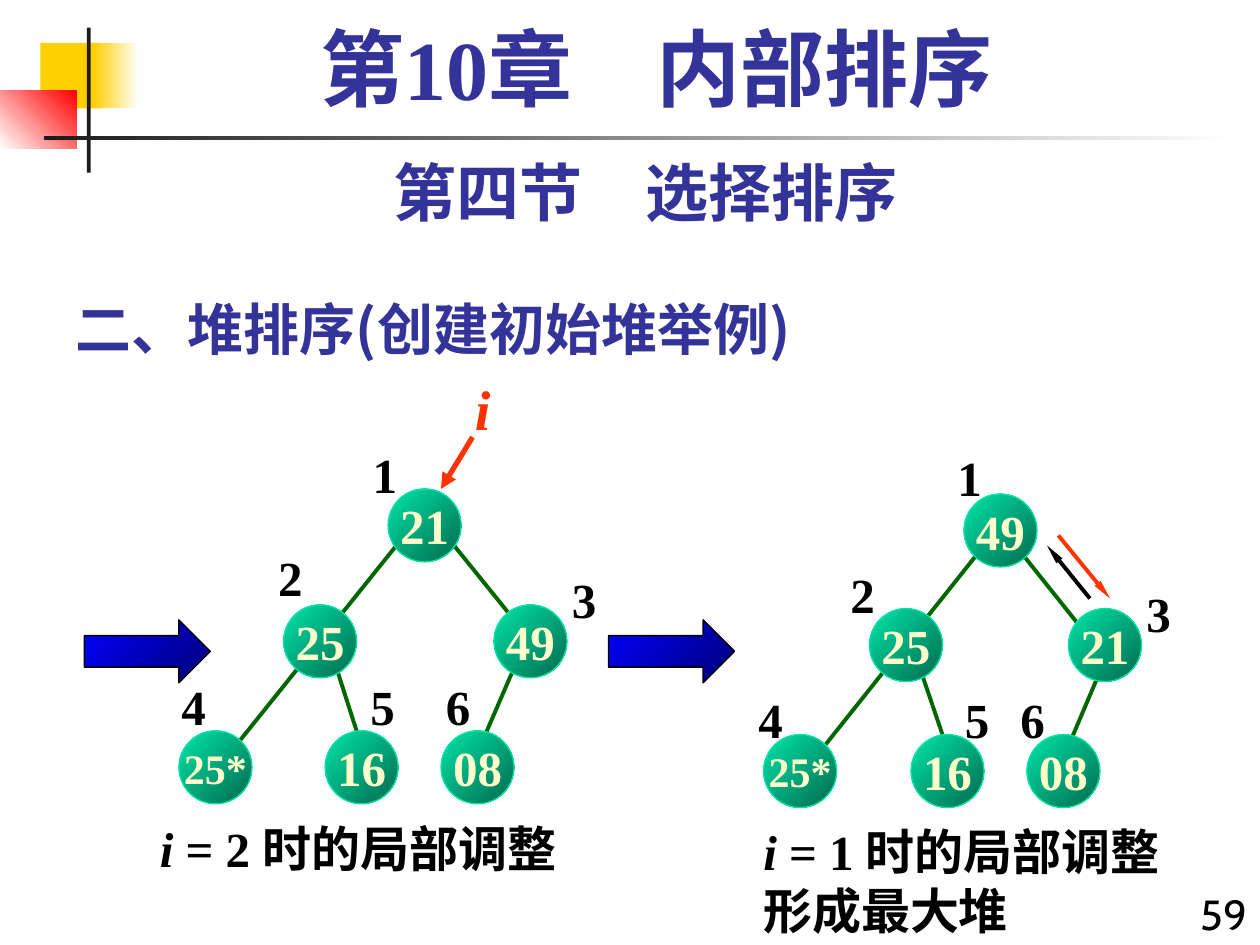
from dataclasses import dataclass

import pptx
import pptx.dml.color
import pptx.enum.shapes
import pptx.enum.text
import pptx.oxml
import pptx.oxml.ns
import pptx.util
from pptx.util import Inches

SHAPE = pptx.enum.shapes.MSO_SHAPE
ALIGN = pptx.enum.text.PP_ALIGN
ANCHOR = pptx.enum.text.MSO_ANCHOR
AUTO = pptx.enum.text.MSO_AUTO_SIZE


@dataclass(frozen=True)
class Theme:
    serif: str = "Times New Roman"
    sans: str = "Cabin"
    chinese: str = "Noto Sans CJK SC"
    heading: str = "333399"
    ink: str = "000000"
    accent: str = "FF3300"
    edge: str = "006600"
    node_light: str = "00E4A8"
    node_dark: str = "006A4E"
    node_text: str = "FFFFCC"
    arrow_light: str = "0000FF"
    arrow_dark: str = "000076"
    yellow: str = "FFCF01"
    red: str = "FF0000"
    rule: str = "1C1C1C"
    white: str = "FFFFFF"
    chapter_size: int = 48
    section_size: int = 36
    topic_size: int = 32
    body_size: int = 28
    small_size: int = 24


THEME = Theme()
NODE_SIZE = 0.58

# Nodes: value, left, top. Labels: left, top, numbered from 1. Edges: x1, y1, x2, y2.
TREE_BEFORE = {
    "edges": [(4.08, 5.3, 3.83, 5.88), (2.67, 5.3, 2.83, 5.8),
              (3.58, 4.3, 4.25, 5.13), (3.17, 4.3, 1.83, 5.97)],
    "nodes": [("21", 3.08, 3.88), ("25", 2.25, 4.8), ("49", 3.92, 4.8),
              ("25*", 1.42, 5.8), ("16", 2.58, 5.8), ("08", 3.5, 5.8)],
    "labels": [(2.86, 3.48), (2.11, 4.3), (4.44, 4.47),
               (1.34, 5.32), (2.84, 5.32), (3.44, 5.32)],
}
TREE_AFTER = {
    "edges": [(8.73, 5.33, 8.48, 5.92), (7.31, 5.33, 7.48, 5.83),
              (8.06, 4.33, 8.73, 5.17), (7.81, 4.33, 6.48, 6)],
    "nodes": [("49", 7.65, 3.92), ("25", 6.9, 4.83), ("21", 8.48, 4.83),
              ("25*", 6.06, 5.83), ("16", 7.23, 5.83), ("08", 8.15, 5.83)],
    "labels": [(7.5, 3.5), (6.65, 4.43), (9, 4.58),
               (5.92, 5.42), (7.56, 5.42), (8, 5.42)],
}


def rgb(color):
    return pptx.dml.color.RGBColor.from_string(color)


def style_span(span, size, color, font=THEME.serif, bold=True, italic=False):
    span.font.name = font
    span.font.size = pptx.util.Pt(size)
    span.font.color.rgb = rgb(color)
    span.font.bold = bold
    span.font.italic = italic
    east_asian = pptx.oxml.parse_xml(
        f'<a:ea {pptx.oxml.ns.nsdecls("a")} typeface="{THEME.chinese}"/>')
    span.font._element.find(pptx.oxml.ns.qn("a:latin")).addnext(east_asian)


def add_text(shapes, place, text, size, color, align=ALIGN.LEFT, wrap=False,
             grow=True, **style):
    box = shapes.add_textbox(*map(Inches, place))
    frame = box.text_frame
    frame.word_wrap = wrap
    frame.auto_size = AUTO.SHAPE_TO_FIT_TEXT if grow else AUTO.NONE
    frame.text = text
    for para in frame.paragraphs:
        para.alignment = align
        for span in para.runs:
            style_span(span, size, color, **style)
    return box


def add_filled(shapes, kind, place, colors, angle=0, outline=None):
    """Preset shape with a plain fill or a two-colour gradient (clockwise angle)."""
    shape = shapes.add_shape(kind, *map(Inches, place))
    shape.shadow.inherit = False
    if len(colors) == 1:
        shape.fill.solid()
        shape.fill.fore_color.rgb = rgb(colors[0])
    else:
        shape.fill.gradient()
        shape.fill.gradient_angle = (360 - angle) % 360
        for stop, color, position in zip(shape.fill.gradient_stops, colors, (0, 1)):
            stop.color.rgb = rgb(color)
            stop.position = position
    if outline:
        shape.line.color.rgb = rgb(outline)
        shape.line.width = pptx.util.Pt(0.75)
    else:
        shape.line.fill.background()
    return shape


def add_line(shapes, ends, color, width=2.25, head=None):
    """Straight line; head is the (width, length) of an arrowhead at its end."""
    line = shapes.add_connector(pptx.enum.shapes.MSO_CONNECTOR.STRAIGHT,
                                *map(Inches, ends))
    line.line.color.rgb = rgb(color)
    line.line.width = pptx.util.Pt(width)
    namespace = pptx.oxml.ns.nsdecls("a")
    if head:
        line.line._get_or_add_ln().append(pptx.oxml.parse_xml(
            f'<a:tailEnd {namespace} type="triangle" w="{head[0]}" len="{head[1]}"/>'))
    line._element.spPr.append(pptx.oxml.parse_xml(f"<a:effectLst {namespace}/>"))


def add_node(shapes, value, left, top):
    node = add_filled(shapes, SHAPE.OVAL, (left, top, NODE_SIZE, NODE_SIZE),
                      (THEME.node_light, THEME.node_dark), 45, THEME.node_light)
    frame = node.text_frame
    frame.word_wrap = False
    frame.vertical_anchor = ANCHOR.MIDDLE
    frame.text = value
    para = frame.paragraphs[0]
    para.alignment = ALIGN.CENTER
    size = THEME.body_size if len(value) == 2 else THEME.small_size
    style_span(para.runs[0], size, THEME.node_text)


def add_tree(slide, tree):
    shapes = slide.shapes.add_group_shape().shapes
    for ends in tree["edges"]:
        add_line(shapes, ends, THEME.edge)
    for node in tree["nodes"]:
        add_node(shapes, *node)
    for number, (left, top) in enumerate(tree["labels"], 1):
        add_text(shapes, (left, top, 0.39, 0.57), str(number),
                 THEME.body_size, THEME.ink)
    return shapes


def add_caption(slide, place, text):
    """Caption whose first letter is the italic index variable."""
    box = add_text(slide.shapes, place, "i", THEME.body_size, THEME.ink, italic=True)
    first, *others = text.split("\n")
    frame = box.text_frame
    spans = [frame.paragraphs[0].add_run()]
    spans += [frame.add_paragraph().add_run() for _ in others]
    for span, words in zip(spans, [first, *others]):
        span.text = words
        style_span(span, THEME.body_size, THEME.ink)


def add_decoration(slide):
    for place, colors, angle in [
        ((0.32, 0.34, 0.48, 0.52), (THEME.yellow,), 0),
        ((0.74, 0.34, 0.36, 0.52), (THEME.yellow, THEME.white), 0),
        ((0, 0.72, 0.61, 0.46), (THEME.white, THEME.red), 315),
        ((0.69, 0.22, 0.03, 1.15), (THEME.rule,), 0),
        ((0.35, 1.08, 9.45, 0.03), (THEME.rule, THEME.white), 0),
    ]:
        add_filled(slide.shapes, SHAPE.RECTANGLE, place, colors, angle)


def add_headings(slide):
    title = slide.shapes.title
    title.left, title.top, title.width, title.height = map(
        Inches, (0.5, 2.17, 6.25, 0.75))
    frame = title.text_frame
    frame.text = "二、堆排序(创建初始堆举例)"
    frame.auto_size = AUTO.NONE
    frame.vertical_anchor = ANCHOR.BOTTOM
    frame.paragraphs[0].alignment = ALIGN.LEFT
    style_span(frame.paragraphs[0].runs[0], THEME.topic_size, THEME.heading,
               THEME.chinese)

    add_text(slide.shapes, (9.33, 7, 0.67, 0.59), "59", THEME.small_size, THEME.ink,
             ALIGN.RIGHT, wrap=True, font=THEME.sans, bold=False)
    add_text(slide.shapes, (0.5, 1.17, 9.25, 0.7), "第四节　选择排序",
             THEME.section_size, THEME.heading, ALIGN.CENTER, wrap=True,
             font=THEME.sans)
    chapter = add_text(slide.shapes, (0.67, 0.17, 9.08, 0.83), "第10章　内部排序",
                       THEME.chapter_size, THEME.heading, ALIGN.CENTER, wrap=True,
                       grow=False)
    chapter.text_frame.paragraphs[0].line_spacing = 0.9


def main():
    deck = pptx.Presentation()
    deck.slide_width, deck.slide_height = Inches(10), Inches(7.5)
    slide = deck.slides.add_slide(deck.slide_layouts[5])
    add_decoration(slide)
    add_headings(slide)

    # Heap before the last adjustment, with the pointer to its root
    add_tree(slide, TREE_BEFORE)
    pointer = slide.shapes.add_group_shape().shapes
    add_line(pointer, (3.75, 3.47, 3.5, 3.88), THEME.accent, 3, ("med", "med"))
    add_text(pointer, (3.67, 2.92, 0.32, 0.64), "i", THEME.topic_size, THEME.accent,
             italic=True)

    # Step arrows and captions
    for left in (0.67, 4.83):
        add_filled(slide.shapes, SHAPE.RIGHT_ARROW, (left, 4.92, 1, 0.5),
                   (THEME.arrow_light, THEME.arrow_dark), 45, THEME.ink)
    add_caption(slide, (1.17, 6.45, 3.44, 0.57), " = 2 时的局部调整")
    add_caption(slide, (5.96, 6.47, 3.44, 1.04), " = 1 时的局部调整\n形成最大堆")

    # Finished heap, with the exchange of root and right child
    after = add_tree(slide, TREE_AFTER)
    add_line(after, (8.65, 4.75, 8.31, 4.33), THEME.ink, head=("sm", "lg"))
    add_line(after, (8.4, 4.25, 8.81, 4.75), THEME.accent, head=("sm", "lg"))

    deck.save("out.pptx")


if __name__ == "__main__":
    main()
